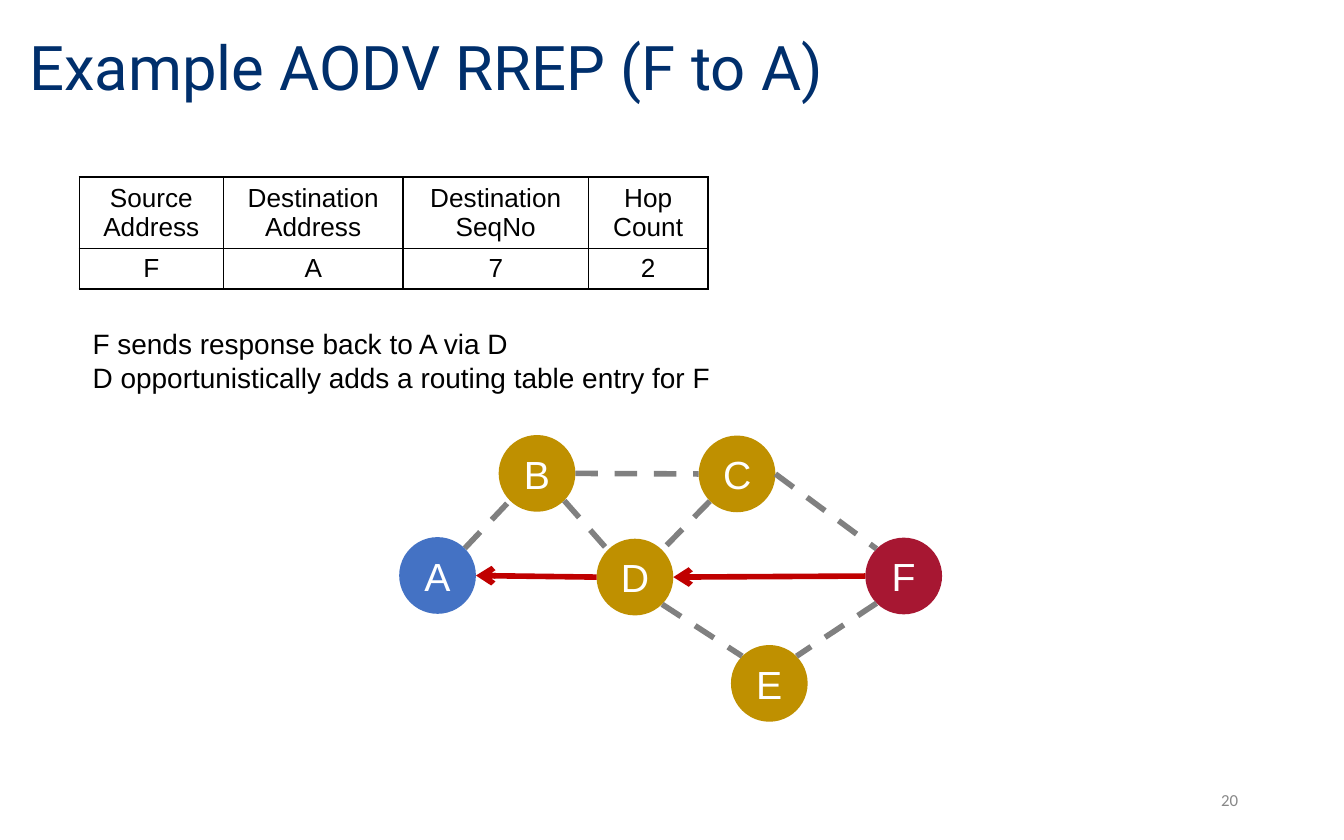
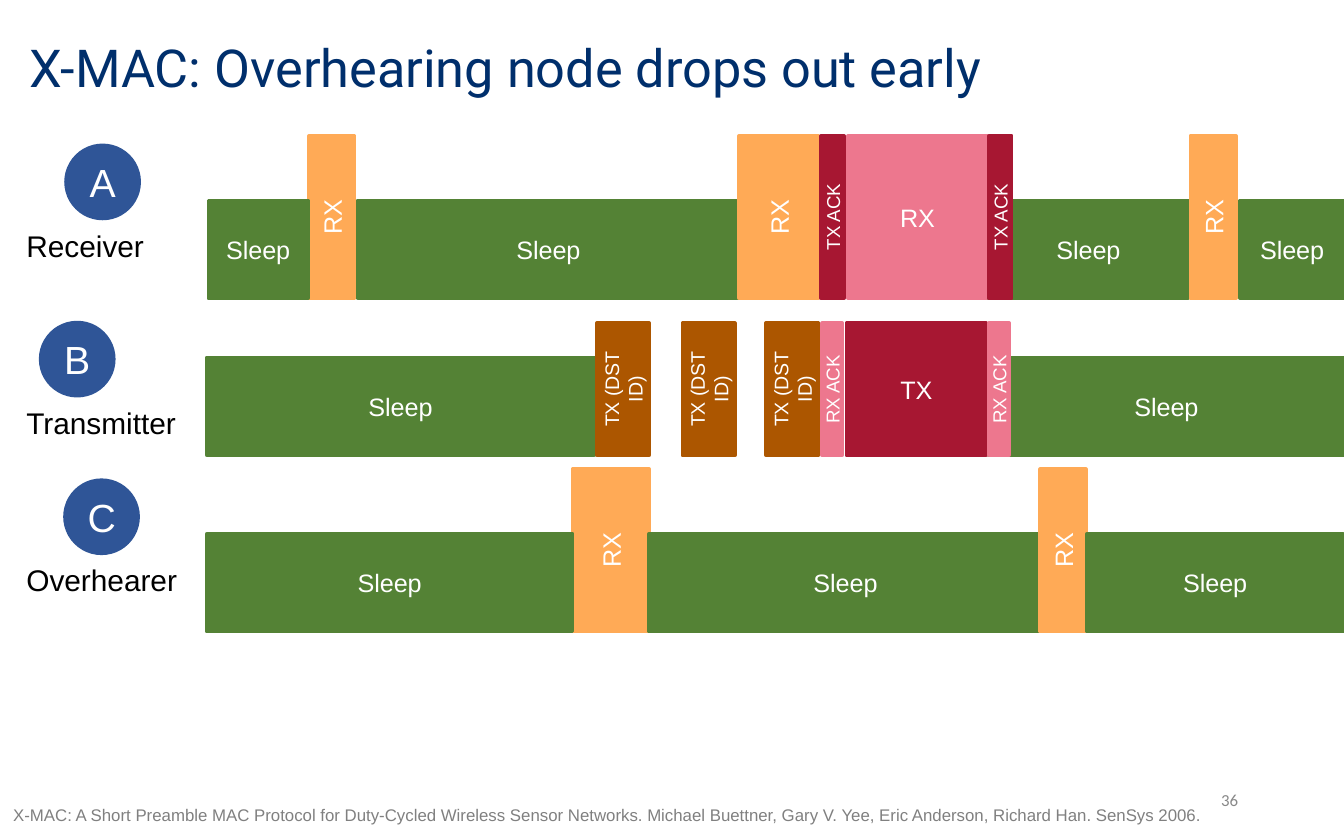
from dataclasses import dataclass

from pptx import Presentation
from pptx.dml.color import RGBColor
from pptx.enum.dml import MSO_LINE
from pptx.enum.shapes import MSO_CONNECTOR as Connector, MSO_SHAPE as Preset
from pptx.enum.text import MSO_ANCHOR as Anchor, MSO_AUTO_SIZE as AutoSize, PP_ALIGN as Align
from pptx.oxml import parse_xml
from pptx.oxml.ns import nsdecls, qn
from pptx.util import Cm, Pt


@dataclass(frozen=True)
class Style:
    size: float
    color: str = "000000"
    font: str = "Arial"


class Theme:
    blue, navy, gold, crimson = "4472C4", "2F5597", "BF9000", "A71732"
    green, orange, brown, pink = "548235", "FFAA56", "AC5600", "ED778E"
    gray, red, black = "808080", "C00000", "000000"
    node = Style(21, "FFFFFF")
    block, strobe, ack = (Style(size, "FFFFFF") for size in (13.5, 10.5, 10))
    cell, body, role = Style(14), Style(15), Style(16)
    citation = Style(9, gray)
    page = Style(9, "888888", "Calibri")

    @staticmethod
    def title(size):
        return Style(size, "002F6C", "Roboto")


SLIDE_WIDTH, SLIDE_HEIGHT = 25.4, 15.88
NODE_SIZE = 1.45

# Route reply
RREP_FIELDS = [
    ("Source Address", "Destination Address", "Destination\nSeqNo", "Hop Count"),
    ("F", "A", "7", "2"),
]
RREP_AT, RREP_COLUMNS, RREP_ROWS = (1.5, 3.35), (2.72, 3.4, 3.5, 2.26), (1.35, 0.76)
RREP_NOTES = [
    "F sends response back to A via D",
    "D opportunistically adds a routing table entry for F",
]
NETWORK = {  # node: (centre x, centre y, colour)
    "A": (8.27, 10.88, Theme.blue),
    "B": (10.15, 8.95, Theme.gold),
    "C": (13.93, 8.96, Theme.gold),
    "D": (12.0, 10.91, Theme.gold),
    "E": (14.54, 12.92, Theme.gold),
    "F": (17.08, 10.89, Theme.crimson),
}
RADIO_LINKS = [  # node, side it leaves from, node, side it reaches
    ("A", "NE", "B", "SW"), ("B", "E", "C", "W"), ("B", "SE", "D", "NW"),
    ("C", "SW", "D", "NE"), ("C", "E", "F", "NW"),
    ("D", "SE", "E", "NW"), ("F", "SW", "E", "NE"),
]
REPLY_HOPS = [("D", "E", "F", "W"), ("A", "E", "D", "W")]  # receiver, then sender
SIDES = {"E": (1, 0), "W": (-1, 0), "NE": (0.71, -0.71), "NW": (-0.71, -0.71),
         "SE": (0.71, 0.71), "SW": (-0.71, 0.71)}

# Radio timelines
ACTIVITIES = {  # activity: (label, colour, style, turned)
    "sleep": ("Sleep", Theme.green, Theme.block, False),
    "listen": ("RX", Theme.orange, Theme.block, True),
    "strobe": ("TX (DST ID)", Theme.brown, Theme.strobe, True),
    "send": ("TX", Theme.crimson, Theme.block, False),
    "receive": ("RX", Theme.pink, Theme.block, False),
    "send ack": ("TX ACK", Theme.crimson, Theme.ack, True),
    "receive ack": ("RX ACK", Theme.pink, Theme.ack, True),
}
SLEEP_HEIGHT = 1.85
TIMELINES = [  # blocks are (activity, left, width)
    {"node": "A", "role": "Receiver", "centre": (1.94, 3.44), "base": 5.64, "active": 3.07,
     "blocks": [("listen", 5.84, 0.86), ("sleep", 3.94, 1.88), ("sleep", 6.76, 7.21),
                ("receive", 16.03, 2.62), ("sleep", 18.69, 3.76), ("listen", 22.5, 0.86),
                ("sleep", 23.44, 1.96), ("listen", 13.97, 1.5),
                ("send ack", 15.52, 0.43), ("send ack", 18.69, 0.43)]},
    {"node": "B", "role": "Transmitter", "centre": (1.46, 6.79), "base": 8.61, "active": 2.5,
     "blocks": [("sleep", 3.91, 7.32), ("strobe", 11.28, 0.99), ("strobe", 12.9, 0.99),
                ("strobe", 14.48, 0.99), ("send", 16.0, 2.64), ("sleep", 18.69, 6.71),
                ("receive ack", 15.54, 0.38), ("receive ack", 18.69, 0.38)]},
    {"node": "C", "role": "Overhearer", "centre": (1.92, 9.77), "base": 11.94, "active": 3.07,
     "blocks": [("listen", 10.82, 1.45), ("sleep", 3.91, 6.91), ("sleep", 12.27, 7.42),
                ("listen", 19.66, 0.86), ("sleep", 20.55, 4.83)]},
]
CITATION = ("X-MAC: A Short Preamble MAC Protocol for Duty-Cycled Wireless Sensor Networks. "
            "Michael Buettner, Gary V. Yee, Eric Anderson, Richard Han. SenSys 2006.")


def rgb(color):
    return RGBColor.from_string(color)


def lengths(*values):
    return [Cm(value) for value in values]


def write(frame, paragraphs, style, align=Align.LEFT, anchor=Anchor.MIDDLE):
    frame.word_wrap = True
    frame.vertical_anchor = anchor
    for index, text in enumerate(paragraphs):
        paragraph = frame.add_paragraph() if index else frame.paragraphs[0]
        paragraph.alignment = align
        for number, line in enumerate(text.split("\n")):
            if number:
                paragraph.add_line_break()
            run = paragraph.add_run()
            run.text = line
            run.font.size = Pt(style.size)
            run.font.name = style.font
            run.font.color.rgb = rgb(style.color)


def add_text(slide, box, paragraphs, style, align=Align.LEFT, anchor=Anchor.TOP, grow=True):
    frame = slide.shapes.add_textbox(*lengths(*box)).text_frame
    write(frame, paragraphs, style, align, anchor)
    frame.auto_size = AutoSize.SHAPE_TO_FIT_TEXT if grow else AutoSize.NONE


def add_slide(deck, title, title_size, page):
    slide = deck.slides.add_slide(deck.slide_layouts[5])
    heading = slide.shapes.title
    heading.left, heading.top, heading.width, heading.height = lengths(0.3, 0.25, 21.64, 2.18)
    write(heading.text_frame, [title], Theme.title(title_size))
    heading.text_frame.auto_size = AutoSize.NONE
    heading.text_frame.paragraphs[0].line_spacing = 0.9
    add_text(slide, (17.93, 14.71, 5.72, 0.84), [page], Theme.page,
             Align.RIGHT, Anchor.MIDDLE, grow=False)
    return slide


def add_filled(slide, preset, box, color, label, style):
    shape = slide.shapes.add_shape(preset, *lengths(*box))
    shape.shadow.inherit = False
    shape.fill.solid()
    shape.fill.fore_color.rgb = rgb(color)
    write(shape.text_frame, [label], style, Align.CENTER)
    return shape


def add_node(slide, name, x, y, color):
    corner = (x - NODE_SIZE / 2, y - NODE_SIZE / 2)
    node = add_filled(slide, Preset.OVAL, (*corner, NODE_SIZE, NODE_SIZE),
                      color, name, Theme.node)
    node.line.fill.background()


def rim_point(node, side):
    x, y, _ = NETWORK[node]
    dx, dy = SIDES[side]
    return x + dx * NODE_SIZE / 2, y + dy * NODE_SIZE / 2


def add_link(slide, start, start_side, end, end_side, reply=False):
    """Joins two nodes; a reply is a solid arrow pointing at the start node."""
    ends = lengths(*rim_point(start, start_side), *rim_point(end, end_side))
    link = slide.shapes.add_connector(Connector.STRAIGHT, *ends)
    link.line.width = Pt(3)
    link.line.color.rgb = rgb(Theme.red if reply else Theme.gray)
    properties = link._element.spPr
    if reply:
        properties.find(qn("a:ln")).append(
            parse_xml(f'<a:headEnd {nsdecls("a")} type="arrow"/>'))
    else:
        link.line.dash_style = MSO_LINE.DASH
    properties.append(parse_xml(f'<a:effectLst {nsdecls("a")}/>'))


def add_borders(cell):
    cell_properties = cell._tc.get_or_add_tcPr()
    for edge in "LRTB":
        cell_properties.append(parse_xml(
            f'<a:ln{edge} {nsdecls("a")} w="{Pt(1)}"><a:solidFill>'
            f'<a:srgbClr val="{Theme.black}"/></a:solidFill></a:ln{edge}>'))


def add_rrep_table(slide):
    size = (sum(RREP_COLUMNS), sum(RREP_ROWS))
    table = slide.shapes.add_table(len(RREP_ROWS), len(RREP_COLUMNS),
                                   *lengths(*RREP_AT, *size)).table
    table.first_row = table.horz_banding = False
    for column, width in zip(table.columns, RREP_COLUMNS):
        column.width = Cm(width)
    for row, height, fields in zip(table.rows, RREP_ROWS, RREP_FIELDS):
        row.height = Cm(height)
        for cell, field in zip(row.cells, fields):
            add_borders(cell)
            cell.fill.background()
            cell.margin_left = cell.margin_right = Cm(0.18)
            cell.margin_top = cell.margin_bottom = Cm(0.1)
            write(cell.text_frame, [field], Theme.cell, Align.CENTER)
            cell.vertical_anchor = Anchor.MIDDLE


def add_timeline(slide, timeline):
    x, y = timeline["centre"]
    for activity, left, width in timeline["blocks"]:
        label, color, style, turned = ACTIVITIES[activity]
        height = SLEEP_HEIGHT if activity == "sleep" else timeline["active"]
        block = add_filled(slide, Preset.RECTANGLE,
                           (left, timeline["base"] - height, width, height),
                           color, label, style)
        block.line.color.rgb = rgb(color)
        block.line.width = Pt(2)
        if turned:
            block.text_frame._txBody.bodyPr.set("vert", "vert270")
    add_node(slide, timeline["node"], x, y, Theme.navy)
    add_text(slide, (0.25, y + NODE_SIZE / 2, 3.66, 0.94), [timeline["role"]],
             Theme.role, anchor=Anchor.MIDDLE)


def build_route_reply(deck):
    slide = add_slide(deck, "Example AODV RREP (F to A)", 33, "20")
    for name, (x, y, color) in NETWORK.items():
        add_node(slide, name, x, y, color)
    for link in RADIO_LINKS:
        add_link(slide, *link)
    for hop in REPLY_HOPS:
        add_link(slide, *hop, reply=True)
    add_rrep_table(slide)
    add_text(slide, (1.5, 6.05, 21.67, 1.55), RREP_NOTES, Theme.body)


def build_overhearing(deck):
    slide = add_slide(deck, "X-MAC: Overhearing node drops out early", 28, "36")
    for timeline in TIMELINES:
        add_timeline(slide, timeline)
    add_text(slide, (0, 15.09, 23.65, 0.64), [CITATION], Theme.citation)


def main():
    deck = Presentation()
    deck.slide_width, deck.slide_height = lengths(SLIDE_WIDTH, SLIDE_HEIGHT)
    build_route_reply(deck)
    build_overhearing(deck)
    deck.save("out.pptx")


if __name__ == "__main__":
    main()
